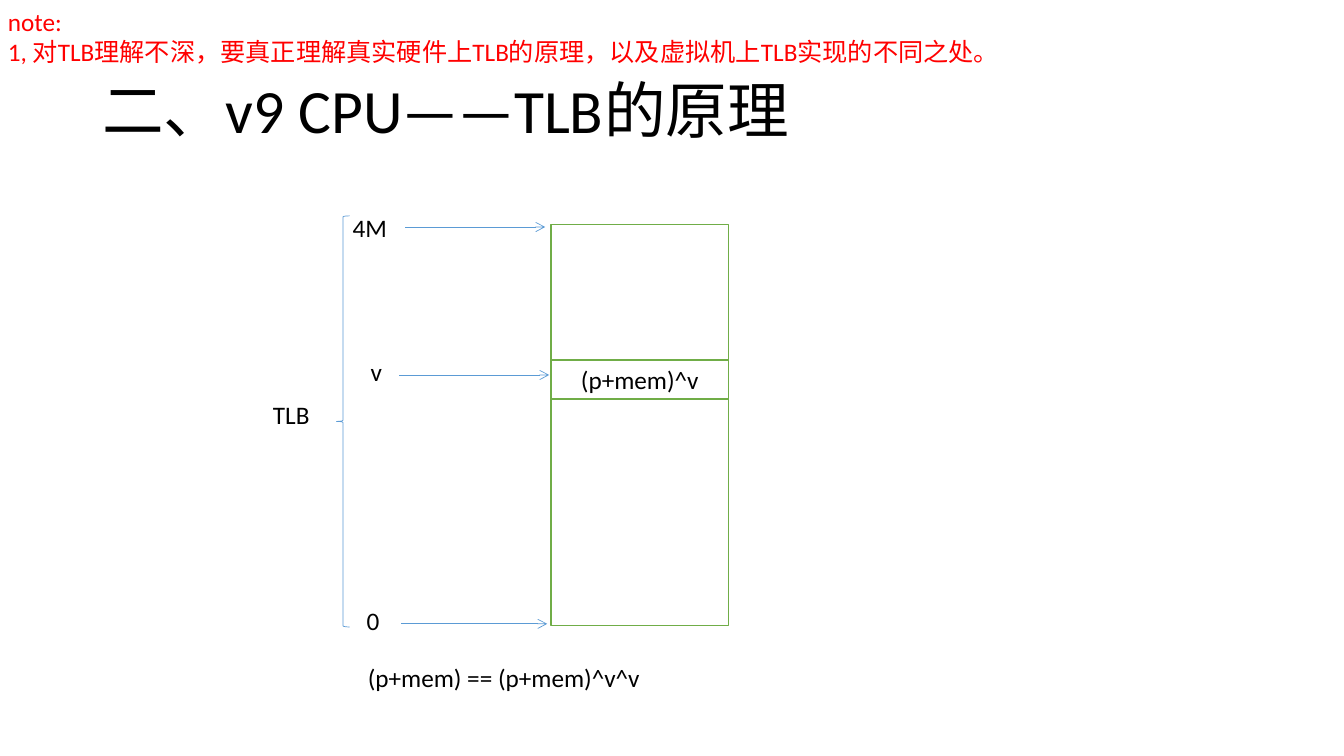
from lxml import etree
from pptx import Presentation
from pptx.dml.color import RGBColor
from pptx.enum.shapes import MSO_CONNECTOR, MSO_SHAPE
from pptx.enum.text import MSO_ANCHOR, PP_ALIGN
from pptx.oxml.ns import qn
from pptx.util import Cm, Pt

STRAIGHT = MSO_CONNECTOR.STRAIGHT
RECTANGLE, LEFT_BRACE = MSO_SHAPE.RECTANGLE, MSO_SHAPE.LEFT_BRACE
TOP, MIDDLE = MSO_ANCHOR.TOP, MSO_ANCHOR.MIDDLE
LEFT, CENTER = PP_ALIGN.LEFT, PP_ALIGN.CENTER

FONT = "Calibri"
BLACK, RED, WHITE, GREEN, BLUE = "000000", "FF0000", "FFFFFF", "70AD47", "5B9BD5"

# Content; boxes are left, top, width, height in cm
TITLE = "二、v9 CPU——TLB的原理"
TITLE_BOX = (2.33, 1.01, 29.21, 3.68)
NOTES = ["note:", "1, 对TLB理解不深，要真正理解真实硬件上TLB的原理，以及虚拟机上TLB实现的不同之处。"]
NOTES_BOX = (-0.05, 0.03, 26.24, 1.8)
LABELS = [  # text, left, top, width
    ("4M", 8.64, 5.23, 1.4),
    ("v", 9.09, 8.86, 0.8),
    ("0", 8.99, 15.14, 0.84),
    ("TLB", 6.63, 9.93, 1.6),
    ("(p+mem) == (p+mem)^v^v", 9.02, 16.56, 8.79),
]
LABEL_HEIGHT = 1.03
MEMORY_BOX = (13.89, 5.66, 4.47, 10.11)
ENTRY = "(p+mem)^v"
ENTRY_BOX = (13.89, 9.07, 4.47, 0.99)
BRACE_BOX = (8.48, 5.44, 0.33, 10.36)
ARROWS = [(10.21, 13.74, 5.72), (10.06, 13.84, 9.45), (10.11, 13.79, 15.72)]  # start, end, y


def color(value):
    return RGBColor.from_string(value)


def write(shape, lines, size=18, text_color=BLACK, align=LEFT, anchor=TOP, wrap=False):
    frame = shape.text_frame
    frame.word_wrap = wrap
    frame.vertical_anchor = anchor
    frame.text = "\n".join(lines)
    for paragraph in frame.paragraphs:
        paragraph.alignment = align
        paragraph.font.name = FONT
        paragraph.font.size = Pt(size)
        paragraph.font.color.rgb = color(text_color)


def add_text(box, lines, **style):
    shape = slide.shapes.add_textbox(*map(Cm, box))
    write(shape, lines, **style)
    return shape


def add_outline(kind, box, line_color, width, fill=None):
    shape = slide.shapes.add_shape(kind, *map(Cm, box))
    shape.shadow.inherit = False
    if fill:
        shape.fill.solid()
        shape.fill.fore_color.rgb = color(fill)
    else:
        shape.fill.background()
    shape.line.color.rgb = color(line_color)
    shape.line.width = Pt(width)
    return shape


def add_arrow(start, end, y):
    arrow = slide.shapes.add_connector(STRAIGHT, Cm(start), Cm(y), Cm(end), Cm(y))
    arrow.line.color.rgb = color(BLUE)
    arrow.line.width = Pt(0.5)
    etree.SubElement(arrow.line._get_or_add_ln(), qn("a:tailEnd"), type="arrow")
    etree.SubElement(arrow._element.spPr, qn("a:effectLst"))


presentation = Presentation()
presentation.slide_width, presentation.slide_height = Cm(33.87), Cm(19.05)
slide = presentation.slides.add_slide(presentation.slide_layouts[6])

# Title
title = add_text(TITLE_BOX, [TITLE], size=44, anchor=MIDDLE, wrap=True)
title.text_frame.paragraphs[0].line_spacing = 0.9

# Memory block with the TLB entry
add_outline(RECTANGLE, MEMORY_BOX, GREEN, 1, WHITE)
entry = add_outline(RECTANGLE, ENTRY_BOX, GREEN, 1, WHITE)
write(entry, [ENTRY], align=CENTER, anchor=MIDDLE, wrap=True)

# Address arrows, brace and labels
for start, end, y in ARROWS:
    add_arrow(start, end, y)
add_outline(LEFT_BRACE, BRACE_BOX, BLUE, 0.5)
for text, left, top, width in LABELS:
    add_text((left, top, width, LABEL_HEIGHT), [text])

# Note
add_text(NOTES_BOX, NOTES, text_color=RED)

presentation.save("out.pptx")
